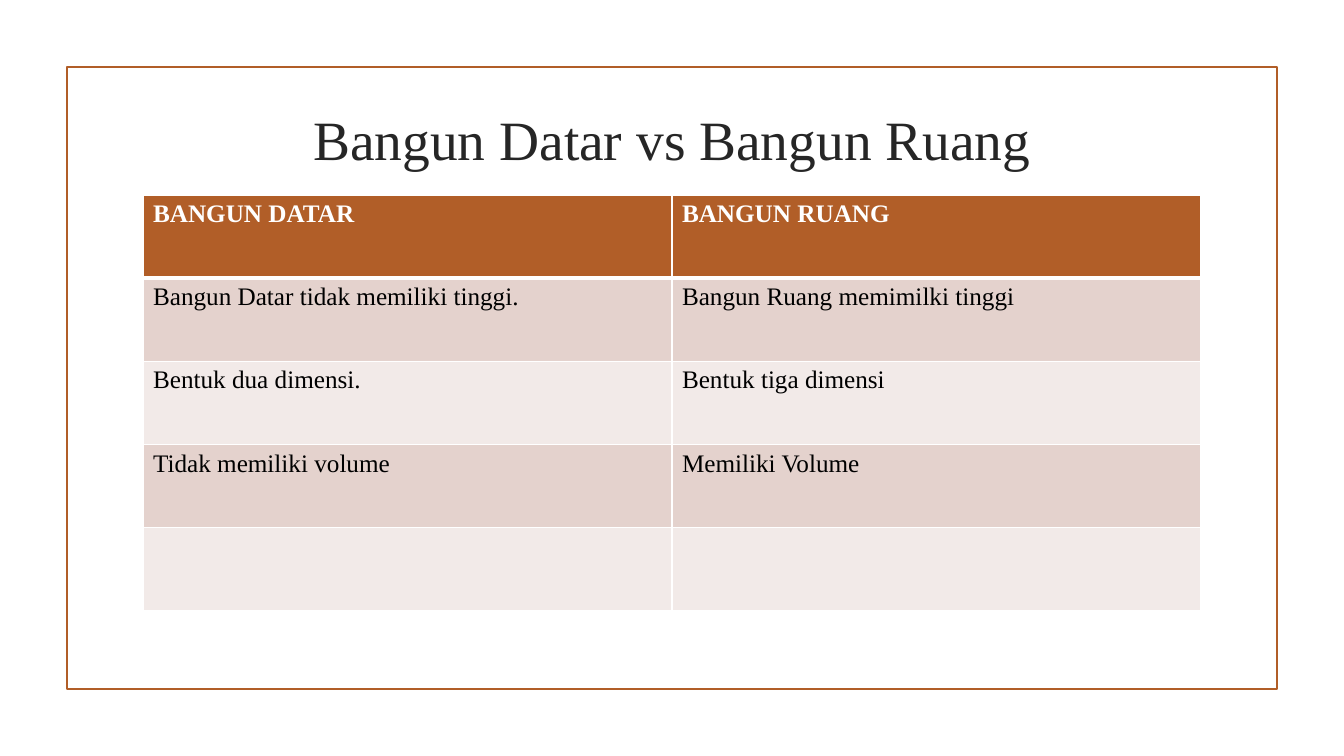
from lxml import etree
from pptx import Presentation
from pptx.dml.color import RGBColor
from pptx.enum.shapes import MSO_SHAPE
from pptx.enum.text import MSO_ANCHOR, PP_ALIGN
from pptx.oxml.ns import qn
from pptx.util import Emu, Pt

RECT = MSO_SHAPE.RECTANGLE
MIDDLE = MSO_ANCHOR.MIDDLE
LEFT, CENTER = PP_ALIGN.LEFT, PP_ALIGN.CENTER

# Content
TITLE = "Bangun Datar vs Bangun Ruang"
ROWS = [
    ("BANGUN DATAR", "BANGUN RUANG"),
    ("Bangun Datar tidak memiliki tinggi.", "Bangun Ruang memimilki tinggi"),
    ("Bentuk dua dimensi.", "Bentuk tiga dimensi"),
    ("Tidak memiliki volume", "Memiliki Volume"),
    ("", ""),
]

# Style and layout, in px
FONT = "Times New Roman"
COLORS = {"accent": "B15E28", "title": "262626", "white": "FFFFFF",
          "black": "000000", "band_dark": "E4D2CD", "band_light": "F2EAE8"}
SLIDE_W, SLIDE_H = 1344, 756
FRAME = (67, 67, 1210, 622)
TITLE_BOX = (143, 108, 1058, 60)
TABLE = (143, 195, 1058, 416)


def px(n):
    return Emu(round(n * 914400 / 100.8))


def rgb(name):
    return RGBColor.from_string(COLORS[name])


def write(tf, text, size=18, color="black", bold=False, align=LEFT):
    p = tf.paragraphs[0]
    p.alignment = align
    p.font.size = Pt(size)
    if text:
        r = p.add_run()
        r.text = text
        r.font.name = FONT
        r.font.size = Pt(size)
        r.font.bold = bold
        r.font.color.rgb = rgb(color)


def set_borders(cell, **widths):
    tcPr = cell._tc.get_or_add_tcPr()
    for side, width in widths.items():
        ln = etree.SubElement(tcPr, qn("a:ln" + side), w=str(Pt(width)))
        fill = etree.SubElement(ln, qn("a:solidFill"))
        etree.SubElement(fill, qn("a:srgbClr"), val=COLORS["white"])


prs = Presentation()
prs.slide_width, prs.slide_height = px(SLIDE_W), px(SLIDE_H)
s = prs.slides.add_slide(prs.slide_layouts[6])

# Frame
sp = s.shapes.add_shape(RECT, *map(px, FRAME))
sp.shadow.inherit = False
sp.fill.background()
sp.line.color.rgb = rgb("accent")
sp.line.width = Pt(1.25)

# Title
tf = s.shapes.add_textbox(*map(px, TITLE_BOX)).text_frame
tf.word_wrap = True
tf.vertical_anchor = MIDDLE
tf.margin_top = tf.margin_bottom = 0
write(tf, TITLE, size=39.6, color="title", align=CENTER)

# Comparison table
table = s.shapes.add_table(len(ROWS), len(ROWS[0]), *map(px, TABLE)).table
for i, row in enumerate(ROWS):
    header = i == 0
    band = "accent" if header else "band_dark" if i % 2 else "band_light"
    for j, text in enumerate(row):
        cell = table.cell(i, j)
        set_borders(cell, L=1, R=1, T=3 if i == 1 else 1, B=3 if header else 1)
        cell.fill.solid()
        cell.fill.fore_color.rgb = rgb(band)
        write(cell.text_frame, text, color="white" if header else "black", bold=header)

prs.save("out.pptx")
